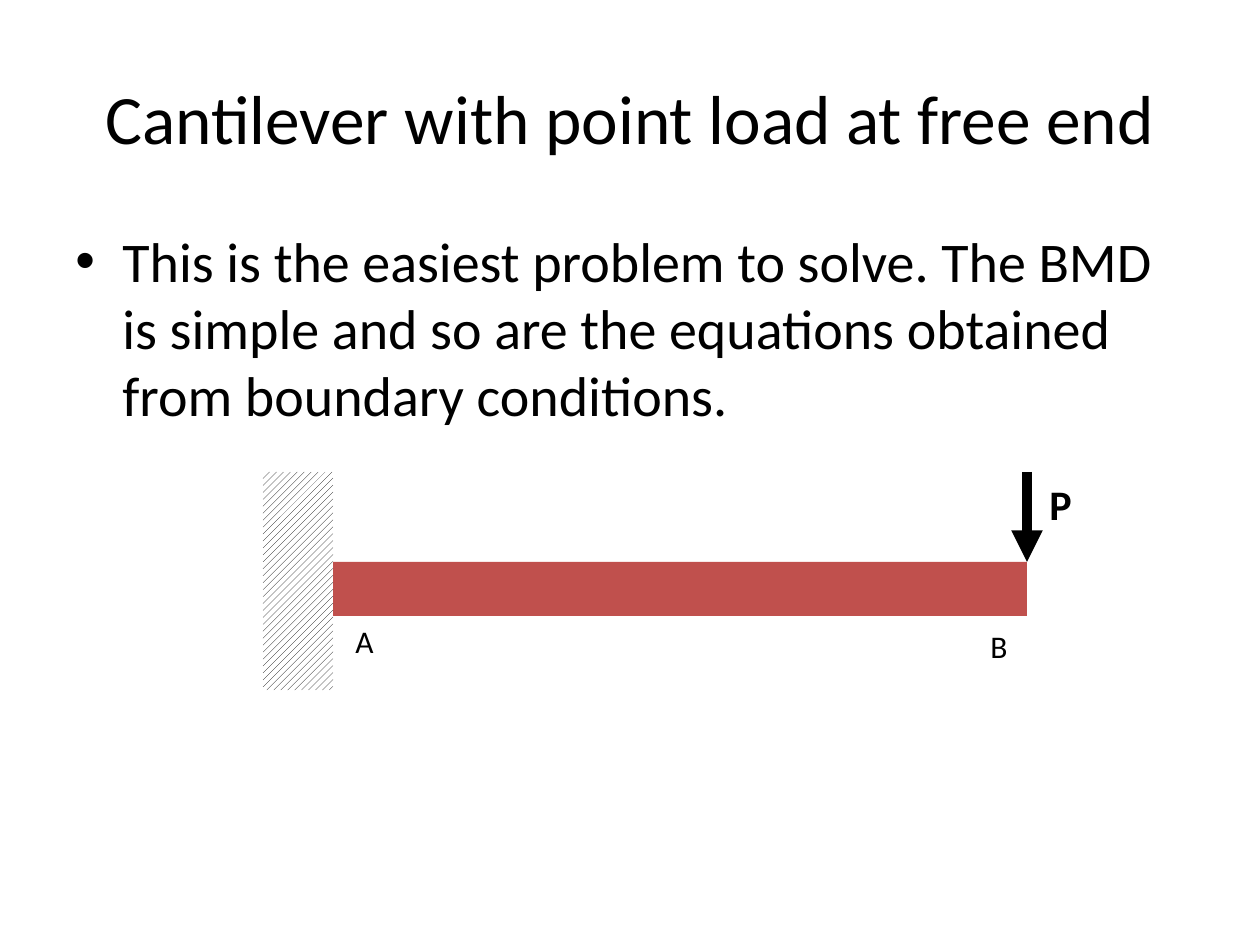
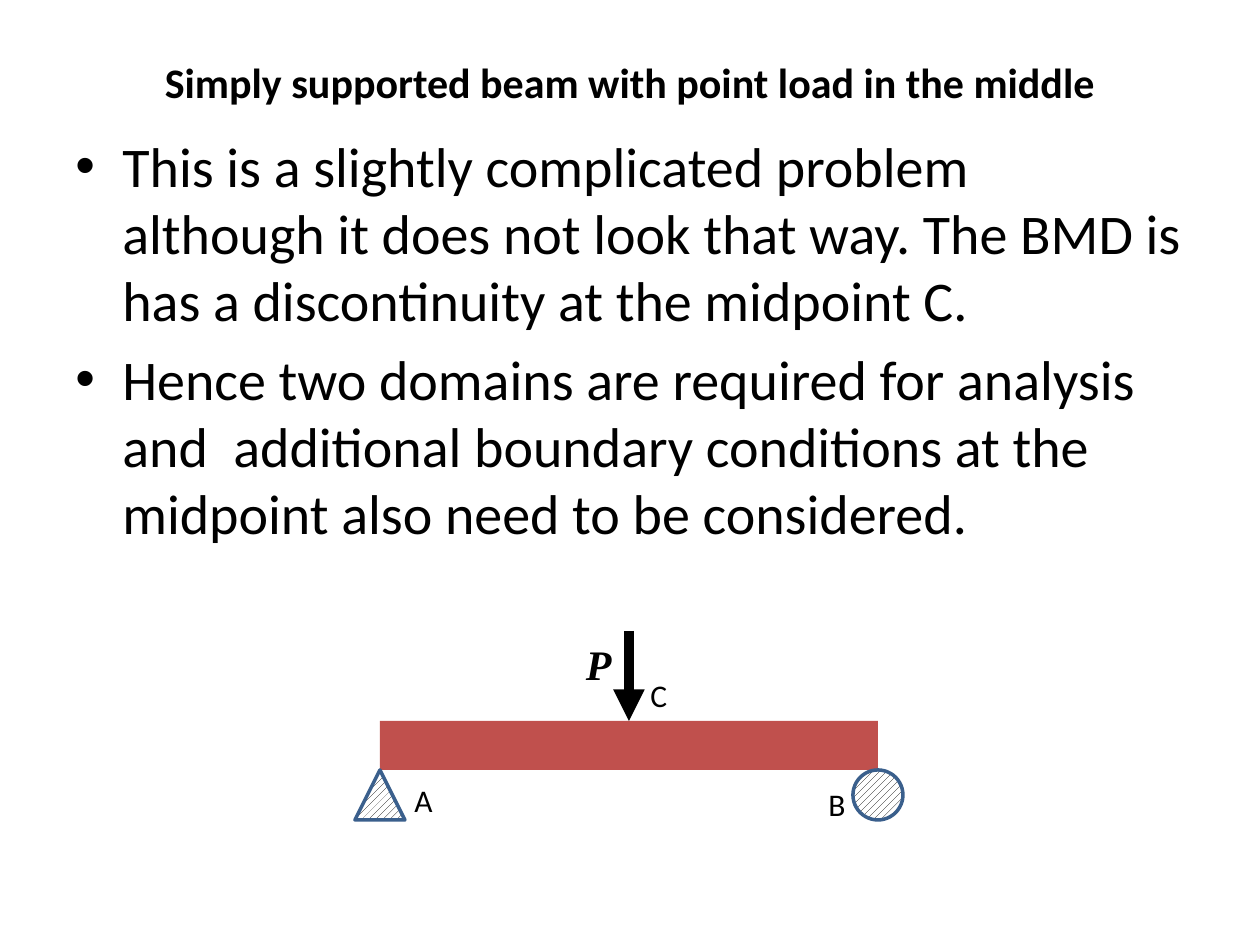
from dataclasses import dataclass

from lxml import etree
from pptx import Presentation
from pptx import util as u
from pptx.dml.color import RGBColor
from pptx.enum import dml, shapes, text
from pptx.oxml.ns import qn

PX_PER_INCH = 126


@dataclass(frozen=True)
class Theme:
    """Colours, fonts and type sizes shared by the slides."""
    ink: str = "000000"
    paper: str = "FFFFFF"
    beam: str = "C0504D"
    support: str = "3A5F8C"
    font: str = "Calibri"
    symbol_font: str = "Times New Roman"
    title: float = 39.6
    small_title: float = 24
    body: float = 32
    load: float = 24
    label: float = 18


T = Theme()


def px(n):
    """Turn pixels into EMU."""
    return u.Emu(round(n * 914400 / PX_PER_INCH))


def rgb(code):
    """Turn a hex code into a colour."""
    return RGBColor.from_string(code)


def write(sp, *lines, size, font=T.font, bold=False, italic=False, align=None,
          anchor=text.MSO_ANCHOR.TOP, bullet=False):
    """Write one paragraph per line into a shape."""
    tf = sp.text_frame
    tf.word_wrap = True
    tf.vertical_anchor = anchor
    for i, line in enumerate(lines):
        p = tf.paragraphs[0] if i == 0 else tf.add_paragraph()
        p.alignment = align
        if i:
            p.space_before = u.Pt(0.2 * size)
        if bullet:
            pPr = p._p.get_or_add_pPr()
            pPr.set("marL", str(px(47)))
            pPr.set("indent", str(-px(47)))
            etree.SubElement(pPr, qn("a:buFont")).set("typeface", "Arial")
            etree.SubElement(pPr, qn("a:buChar")).set("char", "•")
        r = p.add_run()
        r.text = line
        f = r.font
        f.name, f.size, f.bold, f.italic = font, u.Pt(size), bold, italic
        f.color.rgb = rgb(T.ink)
    return sp


def add_text(parent, box, *lines, **fmt):
    """Add a text box."""
    return write(parent.shapes.add_textbox(*map(px, box)), *lines, **fmt)


def add_label(parent, x, y, name):
    """Add the letter of a point on the beam."""
    return add_text(parent, (x, y, 49, 50), name, size=T.label)


def add_solid(parent, box, color):
    """Add a plain rectangle without an outline."""
    sp = parent.shapes.add_shape(shapes.MSO_SHAPE.RECTANGLE, *map(px, box))
    sp.shadow.inherit = False
    sp.fill.solid()
    sp.fill.fore_color.rgb = rgb(color)
    sp.line.fill.background()
    return sp


def add_hatched(parent, kind, box, outline=None):
    """Add a hatched shape that stands for a support."""
    sp = parent.shapes.add_shape(kind, *map(px, box))
    sp.shadow.inherit = False
    sp.fill.patterned()
    sp.fill.pattern = dml.MSO_PATTERN.WIDE_UPWARD_DIAGONAL
    sp.fill.fore_color.rgb = rgb(T.ink)
    sp.fill.back_color.rgb = rgb(T.paper)
    if outline:
        sp.line.color.rgb = rgb(outline)
        sp.line.width = u.Pt(2)
    else:
        sp.line.fill.background()
    return sp


def add_load(parent, x, top, bottom):
    """Add the downward arrow of a point load."""
    s = parent.shapes.add_connector(shapes.MSO_CONNECTOR.STRAIGHT,
                                    px(x), px(top), px(x), px(bottom))
    s.line.color.rgb = rgb(T.ink)
    s.line.width = u.Pt(6)
    etree.SubElement(s.line._get_or_add_ln(), qn("a:tailEnd")).set("type", "triangle")
    etree.SubElement(s._element.spPr, qn("a:effectLst"))
    return s


def cantilever(slide, box):
    """Draw a beam fixed in a wall at A and loaded at its free end B."""
    x, y, w, h = box
    g = slide.shapes.add_group_shape()
    wall, depth = 70, 54
    left, right, top = x + wall, x + w, y + 90
    add_solid(g, (left, top, w - wall, depth), T.beam)
    add_hatched(g, shapes.MSO_SHAPE.RECTANGLE, (x, y, wall, h))
    add_label(g, left + 10, top + depth, "A")
    add_label(g, right - 49, top + depth + 5, "B")
    add_load(g, right, y, top)
    add_text(g, (right + 10, y, 49, 63), "P", size=T.load, bold=True)


def simple_beam(slide, box):
    """Draw a beam on a pin at A and a roller at B, loaded at its midpoint C."""
    x, y, w, h = box
    g = slide.shapes.add_group_shape()
    size = 50
    left, right, mid = x + size // 2, x + w - size // 2, x + w // 2
    top, bottom = y + 90, y + h - size
    beam = add_solid(g, (left, top, right - left, bottom - top), T.beam)
    add_label(g, left + 22, bottom + 5, "A")
    add_label(g, right - 62, bottom + 9, "B")
    add_load(g, mid, y, top).end_connect(beam, 0)
    symbol = add_solid(g, (mid - 53, y + 8, 44, 50), T.paper)
    tf = symbol.text_frame
    tf.margin_left, tf.margin_top, tf.margin_right, tf.margin_bottom = px(10), 0, 0, 0
    write(symbol, "P", size=T.load, font=T.symbol_font, bold=True, italic=True,
          align=text.PP_ALIGN.LEFT)
    add_hatched(g, shapes.MSO_SHAPE.ISOSCELES_TRIANGLE, (x, bottom, size, size), T.support)
    add_hatched(g, shapes.MSO_SHAPE.OVAL, (right - size // 2, bottom, size, size), T.support)
    add_label(g, mid + 9, y + 39, "C")


def beam_slide(prs, title, title_height, body_top, points, **title_fmt):
    """Add a slide with a centred title and bulleted points."""
    slide = prs.slides.add_slide(prs.slide_layouts[6])
    left, width, body_bottom = 63, 1134, 844
    add_text(slide, (left, 38, width, title_height), title,
             align=text.PP_ALIGN.CENTER, anchor=text.MSO_ANCHOR.MIDDLE, **title_fmt)
    add_text(slide, (left, body_top, width, body_bottom - body_top), *points,
             size=T.body, bullet=True)
    return slide


def main():
    """Build the two beam slides."""
    prs = Presentation()
    prs.slide_width, prs.slide_height = px(1260), px(945)

    slide = beam_slide(
        prs, "Cantilever with point load at free end", 158, 220,
        ["This is the easiest problem to solve. The BMD is simple and so are "
         "the equations obtained from boundary conditions."],
        size=T.title)
    cantilever(slide, (263, 472, 764, 218))

    slide = beam_slide(
        prs, "Simply supported beam with point load in the middle", 87, 125,
        ["This is a slightly complicated problem although it does not look that way. "
         "The BMD is has a discontinuity at the midpoint C.",
         "Hence two domains are required for analysis and  additional boundary "
         "conditions at the midpoint also need to be considered."],
        size=T.small_title, bold=True)
    simple_beam(slide, (355, 631, 548, 189))

    prs.save("out.pptx")


if __name__ == "__main__":
    main()
